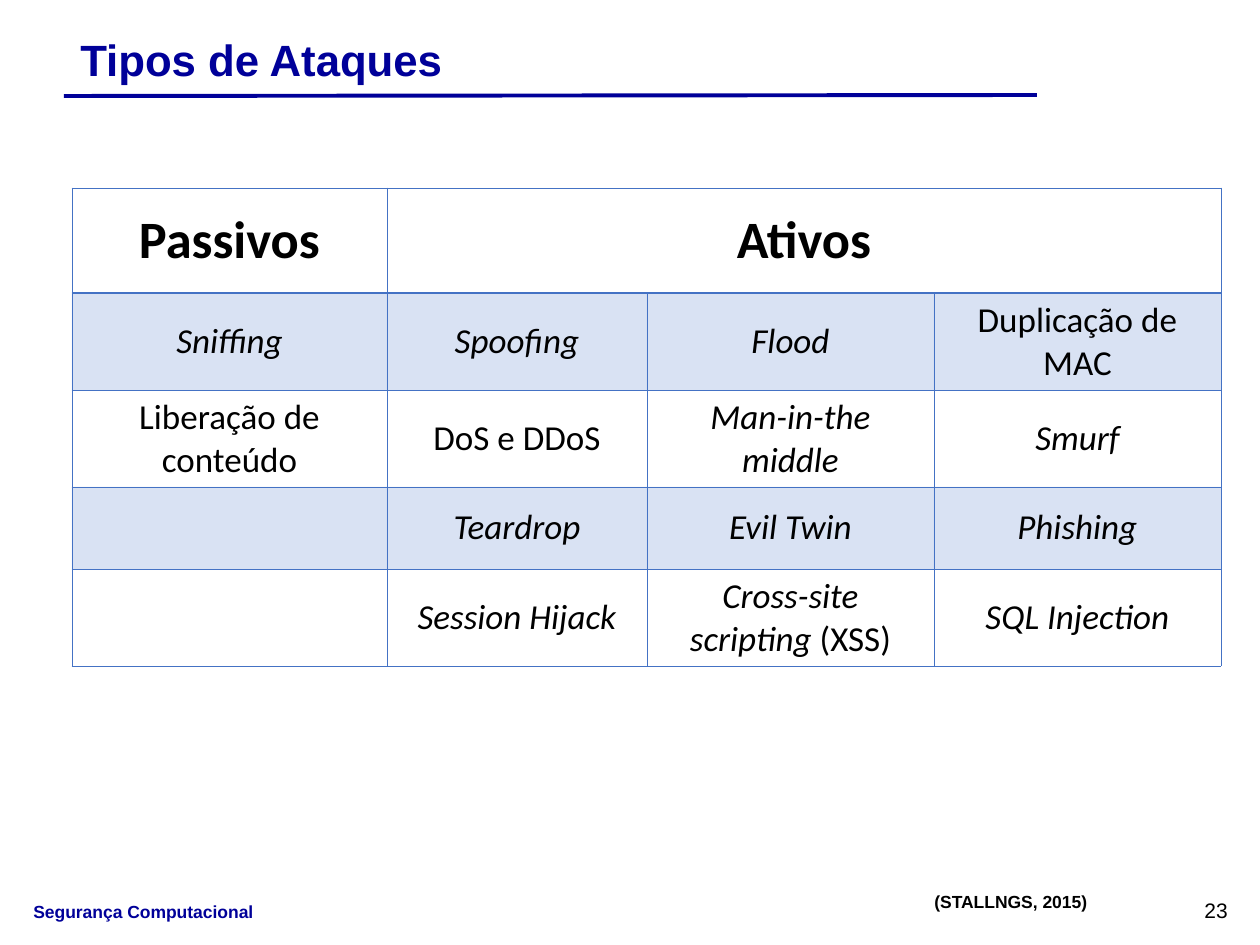
from lxml import etree
from pptx import Presentation
from pptx.dml.color import RGBColor
from pptx.enum.shapes import MSO_CONNECTOR
from pptx.enum.text import MSO_ANCHOR, PP_ALIGN
from pptx.oxml.ns import qn
from pptx.util import Emu, Pt

LEFT, CENTER = PP_ALIGN.LEFT, PP_ALIGN.CENTER
TOP, MIDDLE = MSO_ANCHOR.TOP, MSO_ANCHOR.MIDDLE
STRAIGHT = MSO_CONNECTOR.STRAIGHT

PX_PER_INCH = 126
NAVY, BLACK, BLUE = "000099", "000000", "4472C4"
BAND_OPACITY = 20
THIN, THICK = 0.45, 0.96

COLUMN_WIDTHS = [315, 260, 287, 287]
ROW_HEIGHTS = [105, 97, 97, 82, 97]
HEADERS = ["Passivos", "Ativos"]
ATTACKS = [
    ["*Sniffing", "*Spoofing", "*Flood", "Duplicação de MAC"],
    ["Liberação de conteúdo", "DoS e DDoS", "*Man-in-the middle", "*Smurf"],
    ["", "*Teardrop", "*Evil Twin", "*Phishing"],
    ["", "*Session Hijack", "*Cross-site scripting *(XSS)", "*SQL Injection"],
]


def px(length):
    """Turn a length in px into EMU."""
    return Emu(round(length * 914400 / PX_PER_INCH))


def rgb(value):
    """Turn a hex string into a colour."""
    return RGBColor.from_string(value)


def write_text(frame, text, size, font="Arial", color=BLACK, bold=False, align=LEFT):
    """Write one paragraph in which each asterisk switches italics."""
    paragraph = frame.paragraphs[0]
    paragraph.alignment = align
    for index, part in enumerate(text.split("*")):
        if part:
            run = paragraph.add_run()
            run.text = part
            run.font.name, run.font.size = font, Pt(size)
            run.font.bold, run.font.italic = bold, index % 2 == 1
            run.font.color.rgb = rgb(color)


def add_label(slide, box, text, size, anchor=TOP, **text_format):
    """Add a text box that fills the given box."""
    frame = slide.shapes.add_textbox(*map(px, box)).text_frame
    frame.word_wrap = True
    frame.vertical_anchor = anchor
    write_text(frame, text, size, **text_format)


def add_heading(slide, box, text):
    """Add the slide title with the rule below it."""
    left, top, width, height = box
    add_label(slide, (left + 4, top, width - 14, height), text, 25,
              anchor=MIDDLE, color=NAVY, bold=True)
    bottom = top + height
    rule = slide.shapes.add_connector(
        STRAIGHT, px(left), px(bottom + 4), px(left + width), px(bottom + 3))
    rule.line.color.rgb = rgb(NAVY)
    rule.line.width = Pt(2.25)
    etree.SubElement(rule.element.spPr, qn("a:effectLst"))


def add_borders(cell, top, bottom):
    """Draw the four borders of a cell, with the given top and bottom widths."""
    properties = cell._tc.get_or_add_tcPr()
    for side, width in (("L", THIN), ("R", THIN), ("T", top), ("B", bottom)):
        line = etree.SubElement(properties, qn(f"a:ln{side}"), w=str(Pt(width)))
        fill = etree.SubElement(line, qn("a:solidFill"))
        etree.SubElement(fill, qn("a:srgbClr"), val=BLUE)


def fill_cell(cell, banded):
    """Give a cell a translucent band or no fill."""
    if not banded:
        cell.fill.background()
        return
    cell.fill.solid()
    cell.fill.fore_color.rgb = rgb(BLUE)
    color = cell._tc.tcPr.find(qn("a:solidFill")).find(qn("a:srgbClr"))
    etree.SubElement(color, qn("a:alpha"), val=str(BAND_OPACITY * 1000))


def add_attack_table(slide, left, top):
    """Add the table of passive and active attacks."""
    rows, columns = len(ROW_HEIGHTS), len(COLUMN_WIDTHS)
    table = slide.shapes.add_table(
        rows, columns, px(left), px(top),
        px(sum(COLUMN_WIDTHS)), px(sum(ROW_HEIGHTS))).table
    table.first_row = table.horz_banding = False
    for column, width in zip(table.columns, COLUMN_WIDTHS):
        column.width = px(width)
    for row, height in zip(table.rows, ROW_HEIGHTS):
        row.height = px(height)
    for row_index, row in enumerate(table.rows):
        for cell in row.cells:
            cell.vertical_anchor = MIDDLE
            add_borders(cell, THICK if row_index == 1 else THIN,
                        THICK if row_index == 0 else THIN)
            fill_cell(cell, row_index % 2 == 1)
    table.cell(0, 1).merge(table.cell(0, columns - 1))
    for column_index, text in enumerate(HEADERS):
        write_text(table.cell(0, column_index).text_frame, text, 30,
                   font="Calibri", bold=True, align=CENTER)
    for row_index, names in enumerate(ATTACKS, start=1):
        for column_index, text in enumerate(names):
            write_text(table.cell(row_index, column_index).text_frame, text, 20,
                       font="Calibri", align=CENTER)


def add_footer(slide, left, top):
    """Add the course name, the citation and the page number."""
    add_label(slide, (left, top + 10, 769, 34), "Segurança Computacional", 10,
              color=NAVY, bold=True)
    add_label(slide, (left + 901, top, 208, 34), "(STALLNGS, 2015)", 10, bold=True)
    add_label(slide, (left + 1171, top + 6, 92, 38), "23", 12)


def main():
    """Build the slide and save it."""
    presentation = Presentation()
    presentation.slide_width, presentation.slide_height = px(1260), px(945)
    slide = presentation.slides.add_slide(presentation.slide_layouts[6])
    add_heading(slide, (64, 26, 973, 66), "Tipos de Ataques")
    add_attack_table(slide, 72, 188)
    add_footer(slide, 21, 885)
    presentation.save("out.pptx")


if __name__ == "__main__":
    main()
